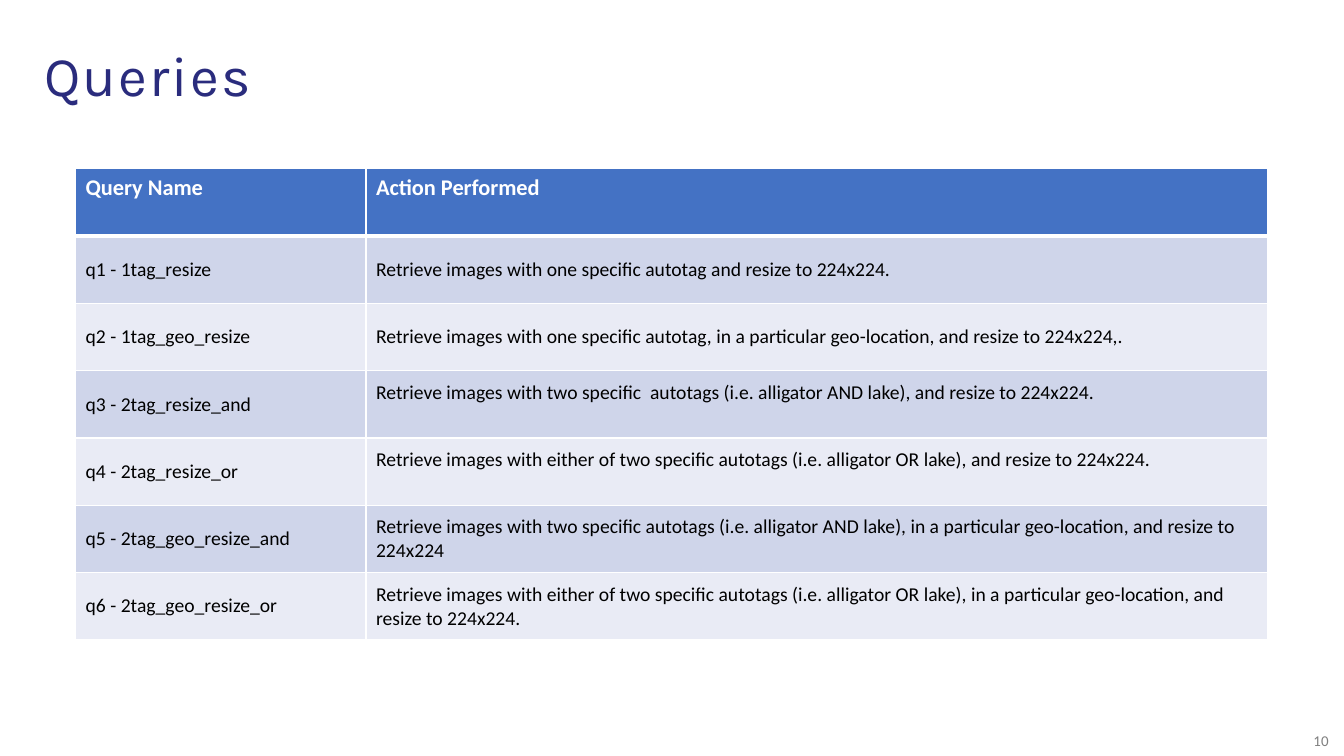
from lxml import etree
from pptx import Presentation
from pptx.dml.color import RGBColor
from pptx.enum.text import MSO_ANCHOR, PP_ALIGN
from pptx.oxml.ns import qn
from pptx.util import Pt

TOP, MID = MSO_ANCHOR.TOP, MSO_ANCHOR.MIDDLE
LEFT, CENTER = PP_ALIGN.LEFT, PP_ALIGN.CENTER

TITLE = "Queries"
PAGE = "10"
HEADS = ("Query Name", "Action Performed")
ROWS = [
    ("q1 - 1tag_resize",
     "Retrieve images with one specific autotag and resize to 224x224.", MID),
    ("q2 - 1tag_geo_resize",
     "Retrieve images with one specific autotag, in a particular geo-location, and resize to 224x224,.", MID),
    ("q3 - 2tag_resize_and",
     "Retrieve images with two specific  autotags (i.e. alligator AND lake), and resize to 224x224.", TOP),
    ("q4 - 2tag_resize_or",
     "Retrieve images with either of two specific autotags (i.e. alligator OR lake), and resize to 224x224.", TOP),
    ("q5 - 2tag_geo_resize_and",
     "Retrieve images with two specific autotags (i.e. alligator AND lake), in a particular geo-location, "
     "and resize to 224x224", MID),
    ("q6 - 2tag_geo_resize_or",
     "Retrieve images with either of two specific autotags (i.e. alligator OR lake), in a particular geo-location, "
     "and resize to 224x224.", MID),
]
COLORS = {"title": "2A2C7D", "page": "808080", "head": "4472C4", "odd": "CFD5EA",
          "even": "E9EBF5", "white": "FFFFFF", "black": "000000"}
WIDTHS = (207.4, 644.4)
HIGH = 48.1
PAD = 7.2


def color(name):
    return RGBColor.from_string(COLORS[name])


def write(frame, text, size, ink, font="Calibri", bold=False, align=LEFT, space=1.0, track=0):
    frame.word_wrap = True
    para = frame.paragraphs[0]
    para.alignment = align
    para.line_spacing = space
    run = para.add_run()
    run.text = text
    run.font.name = font
    run.font.size = Pt(size)
    run.font.bold = bold
    run.font.color.rgb = color(ink)
    if track:
        run.font._element.set("spc", str(track))


def edge(cell, side, width):
    line = etree.SubElement(cell._tc.get_or_add_tcPr(), qn("a:" + side), w=str(Pt(width)))
    fill = etree.SubElement(line, qn("a:solidFill"))
    etree.SubElement(fill, qn("a:srgbClr"), val=COLORS["white"])


def paint(cell, fill, top=1, base=1):
    for side, width in (("lnL", 1), ("lnR", 1), ("lnT", top), ("lnB", base)):
        edge(cell, side, width)
    cell.fill.solid()
    cell.fill.fore_color.rgb = color(fill)


def main():
    deck = Presentation()
    deck.slide_width, deck.slide_height = Pt(960), Pt(540)
    slide = deck.slides.add_slide(deck.slide_layouts[6])

    title = slide.shapes.add_textbox(Pt(24.5), Pt(26.6), Pt(908.6), Pt(59)).text_frame
    title.vertical_anchor = MID
    write(title, TITLE, 40, "title", font="Karla", space=0.9, track=150)

    page = slide.shapes.add_textbox(Pt(927.4), Pt(519.1), Pt(32.4), Pt(20.9)).text_frame
    write(page, PAGE, 10.7, "page", align=CENTER)

    count = len(ROWS) + 1
    table = slide.shapes.add_table(count, len(HEADS), Pt(54), Pt(120.5),
                                   Pt(sum(WIDTHS)), Pt(HIGH * count)).table
    for col, width in zip(table.columns, WIDTHS):
        col.width = Pt(width)
    for row in table.rows:
        row.height = Pt(HIGH)

    for col, text in enumerate(HEADS):
        cell = table.cell(0, col)
        paint(cell, "head", base=3)
        write(cell.text_frame, text, 16, "white", bold=True)

    for num, (name, action, anchor) in enumerate(ROWS, 1):
        for col, (text, place) in enumerate(((name, MID), (action, anchor))):
            cell = table.cell(num, col)
            paint(cell, "odd" if num % 2 else "even", top=3 if num == 1 else 1)
            cell.vertical_anchor = place
            cell.margin_left = cell.margin_right = Pt(PAD)
            cell.margin_top = cell.margin_bottom = Pt(PAD)
            write(cell.text_frame, text, 14, "black")

    deck.save("out.pptx")


if __name__ == "__main__":
    main()
